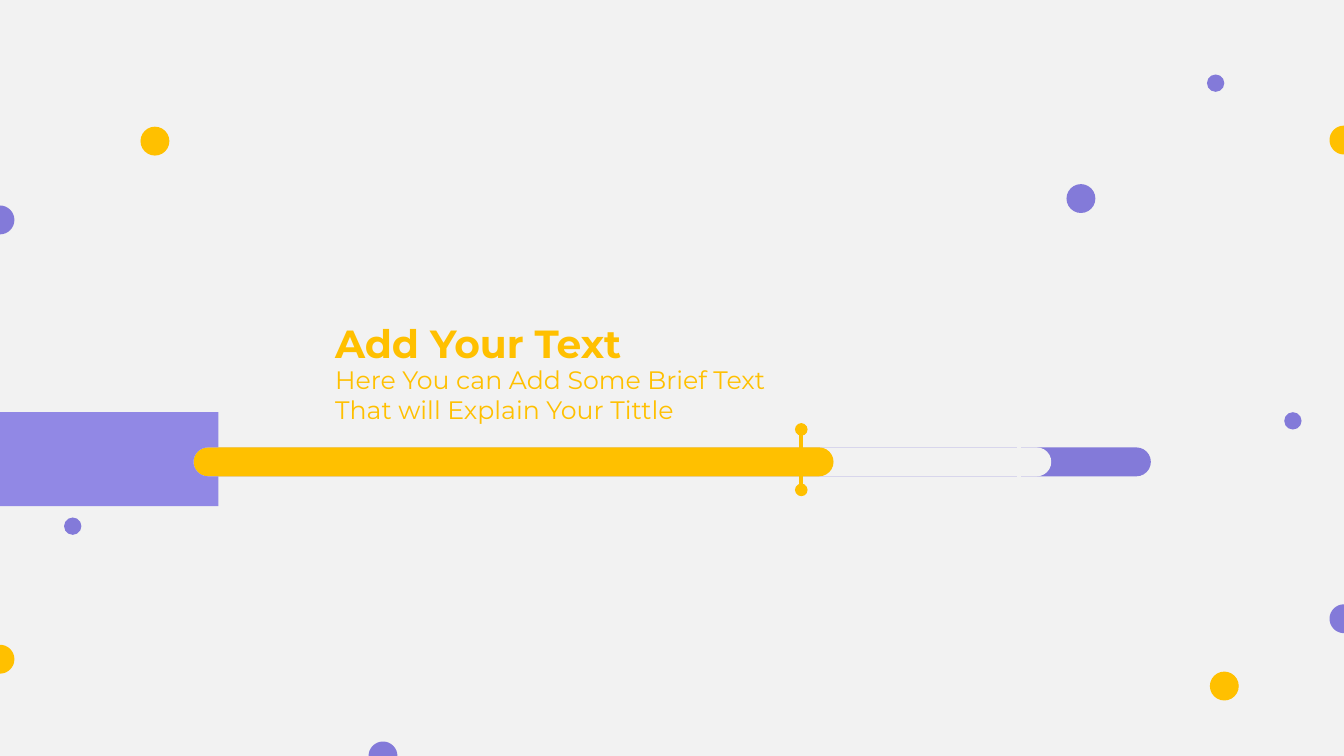
from math import cos, radians, sin

from lxml import etree
from pptx import Presentation
from pptx.dml.color import RGBColor
from pptx.enum.shapes import MSO_CONNECTOR, MSO_SHAPE
from pptx.enum.text import MSO_AUTO_SIZE
from pptx.oxml.ns import qn
from pptx.util import Inches, Pt

OVAL, PILL = MSO_SHAPE.OVAL, MSO_SHAPE.ROUNDED_RECTANGLE
STRAIGHT = MSO_CONNECTOR.STRAIGHT
GROW = MSO_AUTO_SIZE.SHAPE_TO_FIT_TEXT

THEME = {
    "paper": "F2F2F2", "violet": "837AD9", "lilac": "9188E5", "gold": "FFC000",
    "font": "Montserrat", "title": 28, "body": 18, "stem": 3,
}

# Content: x and widths in % of slide width, y and heights in % of slide height
LARGE, SMALL = 2.15, 1.29  # dot diameters, % of slide width
BAR_LEFT, BAR_MIDDLE = 14.4, 61.1
STEM_TOP, STEM_BOTTOM = 56.8, 64.8
PANEL = {"top": 54.53, "bottom": 66.95, "right": 16.25}

TRACK = (71.23, "violet", None)  # width, colour, stem x
REMAINDER = (63.82, "paper", 75.82)
PROGRESS = (47.62, "gold", 59.62)

DOTS = [  # centre x, centre y, diameter, colour
    (5.41, 69.6, SMALL, "violet"),
    (11.53, 18.67, LARGE, "gold"),
    (96.2, 55.67, SMALL, "violet"),
    (90.45, 11.0, SMALL, "violet"),
    (91.1, 90.75, LARGE, "gold"),
    (80.43, 26.27, LARGE, "violet"),
]
EDGE_DOTS = [  # centre x, centre y, facing angle, colour
    (0, 87.2, 0, "gold"),
    (0, 29.1, 0, "violet"),
    (100, 81.85, 180, "violet"),
    (100, 18.53, 180, "gold"),
    (28.5, 100, 270, "violet"),
]
CAPTIONS = [  # text, box, font format
    ("Add Your Text", (24.2, 41.6, 29.25, 7.6),
     {"size": Pt(THEME["title"]), "bold": True}),
    ("Here You can Add Some Brief Text That will Explain Your Tittle",
     (24.2, 47.52, 34.5, 9.47),
     {"size": Pt(THEME["body"]), "bold": False}),
]

deck = Presentation()
deck.slide_width, deck.slide_height = Inches(40 / 3), Inches(7.5)
slide = deck.slides.add_slide(deck.slide_layouts[6])
shapes = slide.shapes


def across(share):
    return round(deck.slide_width * share / 100)


def down(share):
    return round(deck.slide_height * share / 100)


def color(key):
    return RGBColor.from_string(THEME[key])


def paint(shape, key):
    shape.fill.solid()
    shape.fill.fore_color.rgb = color(key)
    shape.line.fill.background()
    shape.shadow.inherit = False


def half_circle(x, y, start, turn):
    """Start point, then two quarter curves of three points each."""
    radius, pull = across(LARGE) / 2, 0.55

    def spot(angle, other, weight):
        a, b = radians(angle), radians(other)
        return (round(x + radius * (cos(a) + weight * cos(b))),
                round(y + radius * (sin(a) + weight * sin(b))))

    steps = [[spot(start, start, 0)]]
    for a, b in ((start, start + turn), (start + turn, start + 2 * turn)):
        steps.append([spot(a, b, pull), spot(b, a, pull), spot(b, b, 0)])
    return steps


def add_outline(steps, key):
    """Each step is one point for a line or three for a curve."""
    points = [point for step in steps for point in step]
    builder = shapes.build_freeform(*points[0])
    builder.add_line_segments(points[1:], close=True)
    outline = builder.convert_to_shape()
    segments = iter(list(outline._element.iter(qn("a:lnTo"))))
    for step in steps[1:]:
        first, *others = [next(segments) for _ in step]
        if others:
            first.tag = qn("a:cubicBezTo")
            for segment in others:
                first.append(segment[0])
                segment.getparent().remove(segment)
    paint(outline, key)


def add_bar(width, key, stem_x):
    thickness = across(LARGE)
    bar = shapes.add_shape(PILL, across(BAR_LEFT), down(BAR_MIDDLE) - thickness // 2,
                           across(width), thickness)
    bar.adjustments[0] = 0.5
    paint(bar, key)
    if stem_x is None:
        return
    stem = shapes.add_connector(STRAIGHT, across(stem_x), down(STEM_TOP),
                                across(stem_x), down(STEM_BOTTOM))
    stem.line.color.rgb = color(key)
    stem.line.width = Pt(THEME["stem"])
    line = stem.line._get_or_add_ln()
    for end in ("a:headEnd", "a:tailEnd"):
        etree.SubElement(line, qn(end), type="oval")
    etree.SubElement(line.getparent(), qn("a:effectLst"))


# Background
slide.background.fill.solid()
slide.background.fill.fore_color.rgb = color("paper")

# Track behind the scattered dots
add_bar(*TRACK)
add_bar(*REMAINDER)

# Whole dots, then dots cut by the slide edge
for x, y, diameter, key in DOTS:
    size = across(diameter)
    paint(shapes.add_shape(OVAL, across(x) - size // 2, down(y) - size // 2, size, size), key)
for x, y, facing, key in EDGE_DOTS:
    add_outline(half_circle(across(x), down(y), facing - 90, 90), key)

# Progress bar
add_bar(*PROGRESS)

# Captions
for words, (x, y, width, height), font_format in CAPTIONS:
    caption = shapes.add_textbox(across(x), down(y), across(width), down(height))
    frame = caption.text_frame
    frame.word_wrap = True
    frame.auto_size = GROW
    frame.text = words
    font = frame.paragraphs[0].runs[0].font
    font.name = THEME["font"]
    font.color.rgb = color("gold")
    for attribute, setting in font_format.items():
        setattr(font, attribute, setting)

# Side panel, notched around the bar's rounded end
right, top, bottom = across(PANEL["right"]), down(PANEL["top"]), down(PANEL["bottom"])
notch = half_circle(across(BAR_LEFT + LARGE / 2), down(BAR_MIDDLE), 270, -90)
notch_top, notch_bottom = notch[0][0][1], notch[-1][-1][1]
add_outline([[(0, top)], [(right, top)], [(right, notch_top)], *notch,
             [(right, notch_bottom)], [(right, bottom)], [(0, bottom)]], "lilac")

deck.save("out.pptx")
